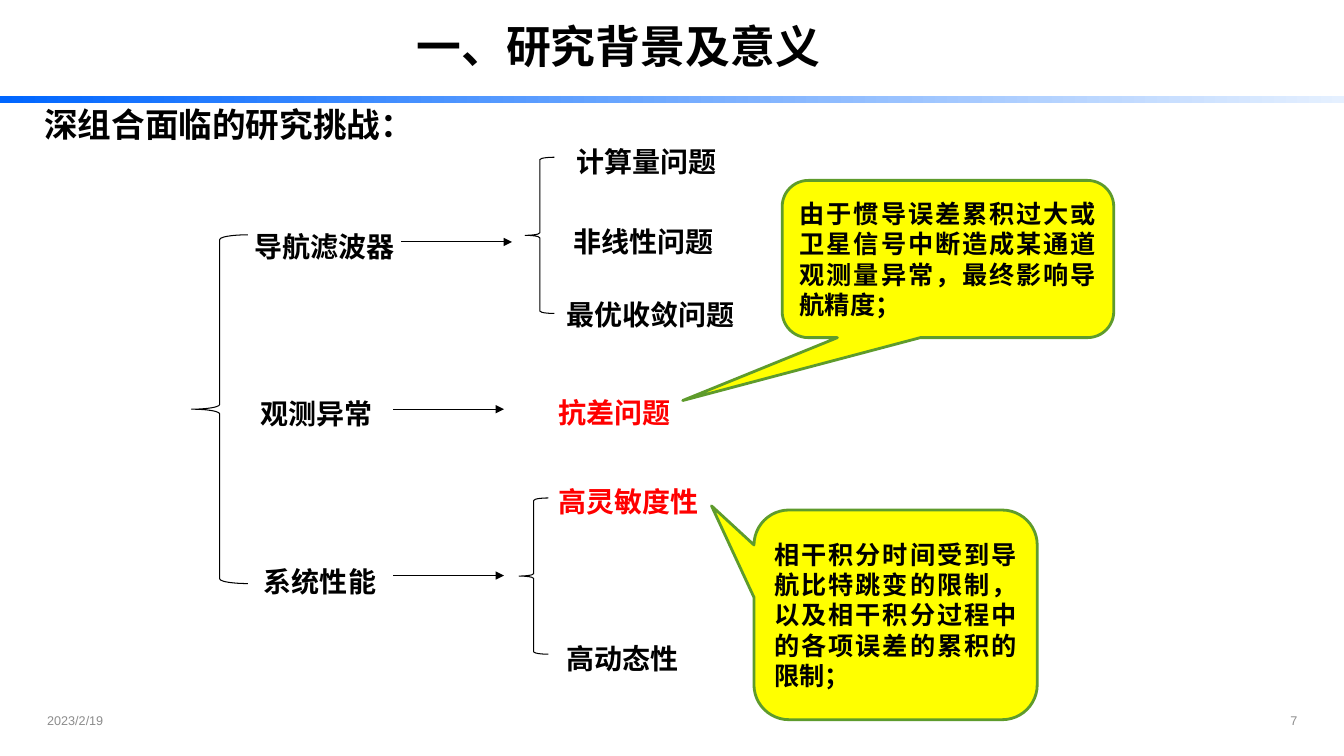
from typing import NamedTuple

import pptx
import pptx.util
import pptx.dml.color
import pptx.enum.dml
import pptx.enum.shapes
import pptx.enum.text
import pptx.oxml

COLORS = {"black": "000000", "red": "FF0000", "yellow": "FFFF00", "green": "5E9B2C",
          "blue": "0066FF", "pale": "E5F0FF", "gray": "8C8C8C"}
CJK = "Noto Sans CJK SC"
COLS, ROWS = 160, 90
LABEL_ROWS = 5.64
ARROW_COLS = 13.2
SHAPE = pptx.enum.shapes.MSO_SHAPE
ALIGN = pptx.enum.text.PP_ALIGN
ANCHOR = pptx.enum.text.MSO_ANCHOR

prs = pptx.Presentation()
prs.slide_width = pptx.util.Inches(13.333)
prs.slide_height = pptx.util.Inches(7.5)


class Box(NamedTuple):
    col: float
    row: float
    cols: float
    rows: float


class Text(NamedTuple):
    box: Box
    text: str
    size: float = 20
    color: str = "black"
    font: str = CJK
    bold: bool = True
    align: ALIGN = ALIGN.LEFT
    anchor: ANCHOR = ANCHOR.TOP
    spacing: float = 1.2


class Arrow(NamedTuple):
    col: float
    row: float


class Callout(NamedTuple):
    box: Box
    tip: tuple[float, float]
    text: str


def x(cols: float) -> int:
    return round(prs.slide_width * cols / COLS)


def y(rows: float) -> int:
    return round(prs.slide_height * rows / ROWS)


def place(box: Box) -> tuple[int, int, int, int]:
    return x(box.col), y(box.row), x(box.cols), y(box.rows)


def rgb(name: str) -> pptx.dml.color.RGBColor:
    return pptx.dml.color.RGBColor.from_string(COLORS[name])


def write(sp, item: Text) -> None:
    tf = sp.text_frame
    tf.word_wrap = True
    tf.auto_size = pptx.enum.text.MSO_AUTO_SIZE.NONE
    tf.vertical_anchor = item.anchor
    p = tf.paragraphs[0]
    p.text = item.text
    p.alignment = item.align
    p.line_spacing = item.spacing
    f = p.font
    f.size = pptx.util.Pt(item.size)
    f.bold = item.bold
    f.name = item.font
    f.color.rgb = rgb(item.color)
    latin = p._p.pPr.find(".//" + pptx.oxml.ns.qn("a:latin"))
    latin.addnext(pptx.oxml.parse_xml(
        f'<a:ea {pptx.oxml.ns.nsdecls("a")} typeface="{item.font}"/>'))


def add_text(s, item: Text) -> None:
    write(s.shapes.add_textbox(*place(item.box)), item)


def add_band(s, box: Box) -> None:
    sp = s.shapes.add_shape(SHAPE.RECTANGLE, *place(box))
    sp.shadow.inherit = False
    sp.line.fill.background()
    sp.fill.gradient()
    sp.fill.gradient_angle = 0
    for stop, name in zip(sp.fill.gradient_stops, ("blue", "pale")):
        stop.color.rgb = rgb(name)


def add_brace(s, box: Box) -> None:
    sp = s.shapes.add_shape(SHAPE.LEFT_BRACE, *place(box))
    sp.shadow.inherit = False
    sp.fill.background()
    sp.line.color.rgb = rgb("black")
    sp.line.width = pptx.util.Pt(0.75)


def add_arrow(s, arrow: Arrow) -> None:
    cx = s.shapes.add_connector(
        pptx.enum.shapes.MSO_CONNECTOR.STRAIGHT, x(arrow.col), y(arrow.row),
        x(arrow.col + ARROW_COLS), y(arrow.row))
    cx.line.color.rgb = rgb("black")
    cx.line.width = pptx.util.Pt(0.75)
    ns = pptx.oxml.ns.nsdecls("a")
    cx.line._get_or_add_ln().append(pptx.oxml.parse_xml(f'<a:tailEnd {ns} type="triangle"/>'))
    cx._element.spPr.append(pptx.oxml.parse_xml(f"<a:effectLst {ns}/>"))


def add_callout(s, item: Callout) -> None:
    sp = s.shapes.add_shape(SHAPE.ROUNDED_RECTANGULAR_CALLOUT, *place(item.box))
    sp.shadow.inherit = False
    sp.adjustments[0], sp.adjustments[1] = item.tip
    sp.fill.solid()
    sp.fill.fore_color.rgb = rgb("yellow")
    sp.line.color.rgb = rgb("green")
    sp.line.width = pptx.util.Pt(2)
    write(sp, Text(item.box, item.text, 18, align=ALIGN.JUSTIFY,
                   anchor=ANCHOR.MIDDLE, spacing=1.0))


TITLE = Text(Box(46.92, 2.52, 53.4, 6.6), "一、研究背景及意义", 32,
             align=ALIGN.CENTER, anchor=ANCHOR.MIDDLE, spacing=0.9)
FOOTER = dict(size=9, color="gray", font="Arial", bold=False,
              anchor=ANCHOR.MIDDLE, spacing=1.0)
TEXTS = [
    Text(Box(4.44, 83.4, 37.32, 4.8), "2023/2/19", **FOOTER),
    Text(Box(118.32, 83.4, 37.32, 4.8), "7", align=ALIGN.RIGHT, **FOOTER),
    Text(Box(4.08, 10.8, 47.28, 6.48), "深组合面临的研究挑战：", 24),
    Text(Box(29.16, 25.92, 20.76, LABEL_ROWS), "导航滤波器"),
    Text(Box(29.88, 45.84, 18, LABEL_ROWS), "观测异常"),
    Text(Box(30.24, 65.76, 22.68, LABEL_ROWS), "系统性能"),
    Text(Box(67.44, 15.84, 19.4, LABEL_ROWS), "计算量问题"),
    Text(Box(67.08, 25.32, 21.24, LABEL_ROWS), "非线性问题"),
    Text(Box(66.24, 34.08, 22.92, LABEL_ROWS), "最优收敛问题"),
    Text(Box(65.28, 45.72, 18, LABEL_ROWS), "抗差问题", color="red"),
    Text(Box(65.28, 56.28, 19.92, LABEL_ROWS), "高灵敏度性", color="red"),
    Text(Box(66.24, 75, 18, LABEL_ROWS), "高动态性"),
]
BRACES = [Box(22.8, 27.96, 6.72, 41.52), Box(62.52, 18.72, 3.48, 18.6),
          Box(61.8, 59.28, 3.48, 18.6)]
ARROWS = [Arrow(47.76, 28.8), Arrow(46.8, 48.72), Arrow(46.8, 68.52)]
CALLOUTS = [
    Callout(Box(93.12, 21.48, 39.48, 18.72), (-0.8, 0.9),
            "由于惯导误差累积过大或卫星信号中断造成某通道观测量异常，最终影响导航精度；"),
    Callout(Box(89.76, 60.72, 33.72, 24.96), (-0.65, -0.52),
            "相干积分时间受到导航比特跳变的限制，以及相干积分过程中的各项误差的累积的限制；"),
]


def main() -> None:
    s = prs.slides.add_slide(prs.slide_layouts[5])
    title = s.shapes.title
    title.left, title.top, title.width, title.height = place(TITLE.box)
    write(title, TITLE)
    add_band(s, Box(0, 11.4, COLS, 0.84))
    for item in TEXTS:
        add_text(s, item)
    for box in BRACES:
        add_brace(s, box)
    for arrow in ARROWS:
        add_arrow(s, arrow)
    for callout in CALLOUTS:
        add_callout(s, callout)
    prs.save("out.pptx")


if __name__ == "__main__":
    main()
